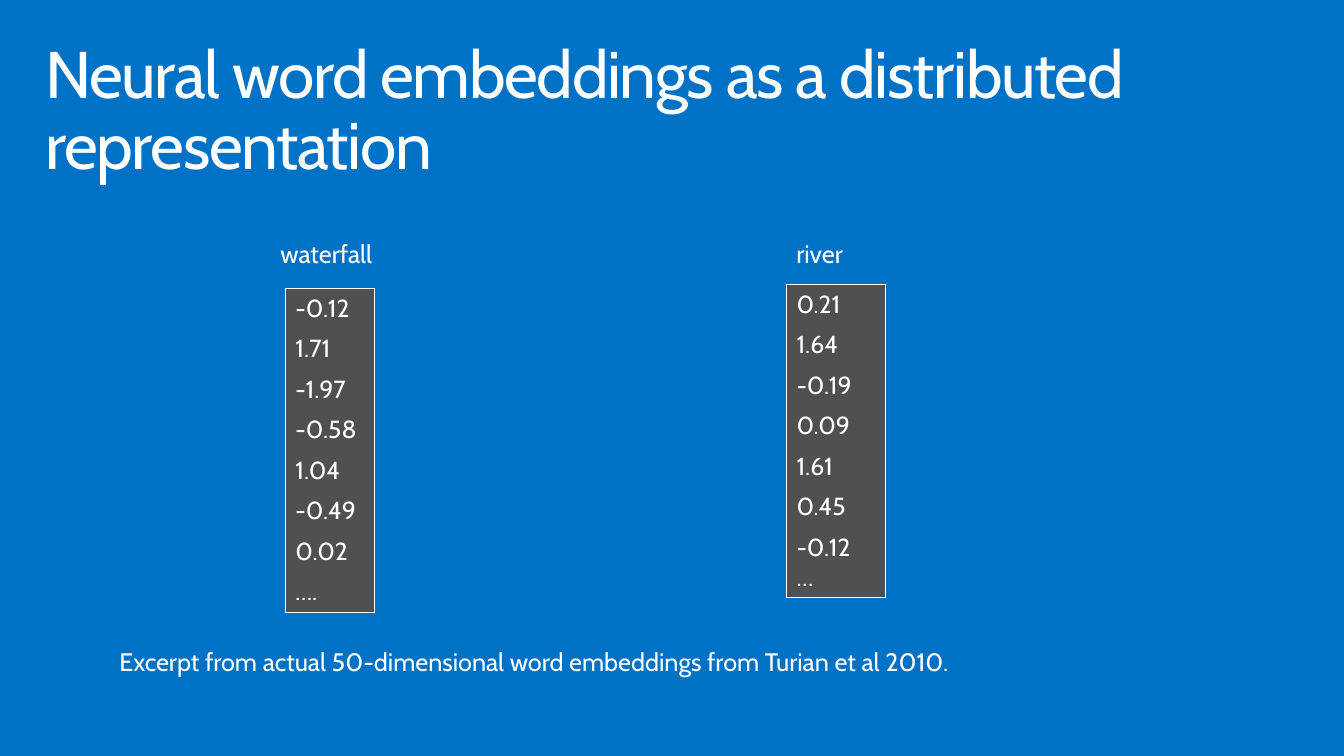
from dataclasses import dataclass

from lxml import etree
from pptx import Presentation
from pptx import util as u
from pptx.dml.color import RGBColor
from pptx.enum import text
from pptx.oxml import ns


@dataclass(frozen=True)
class Theme:
    font: str = "Cabin"
    background: str = "0072C6"
    cell: str = "505050"
    ink: str = "FFFFFF"
    title: float = 48
    label: float = 18.4
    value: float = 18


THEME = Theme()
WIDTH, HEIGHT = 13.6, 7.65
LABEL_H, ROW_H, LAST_LINE_H = 0.41, 0.41, 0.3
NO_STYLE = "{2D5ABB26-0587-4C30-8999-92F81FD0307C}"


def style_text(tf, size):
    for p in tf.paragraphs:
        for r in p.runs:
            r.font.name = THEME.font
            r.font.size = u.Pt(size)
            r.font.color.rgb = RGBColor.from_string(THEME.ink)


def add_label(slide, box, words):
    tf = slide.shapes.add_textbox(*map(u.Inches, box)).text_frame
    tf.word_wrap = False
    tf.auto_size = text.MSO_AUTO_SIZE.SHAPE_TO_FIT_TEXT
    tf.text = words
    style_text(tf, THEME.label)


def add_title(slide, box, words):
    tf = slide.shapes.add_textbox(*map(u.Inches, box)).text_frame
    tf.word_wrap = True
    tf.margin_left = tf.margin_right = u.Inches(0.16)
    tf.margin_top = tf.margin_bottom = u.Inches(0.1)
    tf.text = words
    p = tf.paragraphs[0]
    p.line_spacing = 0.9
    style_text(tf, THEME.title)
    p.runs[0].font._element.set("spc", "-100")


def set_borders(cell, sides):
    """Draw the named sides; they must precede the fill in the cell's XML."""
    tc_pr = cell._tc.get_or_add_tcPr()
    for i, side in enumerate(sides):
        ln = etree.Element(ns.qn(f"a:ln{side}"), w=str(u.Pt(1)))
        fill = etree.SubElement(ln, ns.qn("a:solidFill"))
        etree.SubElement(fill, ns.qn("a:srgbClr"), val=THEME.ink)
        tc_pr.insert(i, ln)


def add_vector(slide, box, values):
    """Stack the values in one outlined column; a value may hold two lines."""
    left, top, width = box
    heights = [ROW_H + LAST_LINE_H * v.count("\n") for v in values]
    frame = slide.shapes.add_table(
        len(values), 1, *map(u.Inches, (left, top, width, sum(heights))))
    table = frame.table
    table.first_row = table.horz_banding = False
    table._tbl.tblPr.find(ns.qn("a:tableStyleId")).text = NO_STYLE
    last = len(values) - 1
    for i, (value, height) in enumerate(zip(values, heights)):
        table.rows[i].height = u.Inches(height)
        cell = table.cell(i, 0)
        cell.text_frame.text = value
        style_text(cell.text_frame, THEME.value)
        cell.fill.solid()
        cell.fill.fore_color.rgb = RGBColor.from_string(THEME.cell)
        set_borders(cell, ["L", "R"] + ["T"] * (i == 0) + ["B"] * (i == last))


def build_embeddings_slide(prs):
    slide = prs.slides.add_slide(prs.slide_layouts[6])
    fill = slide.background.fill
    fill.solid()
    fill.fore_color.rgb = RGBColor.from_string(THEME.background)

    add_title(slide, (0.3, 0.32, WIDTH - 0.6, 1),
              "Neural word embeddings as a distributed representation")
    embeddings = [
        ("waterfall", (2.74, 1.17), (2.89, 2.92, 0.9),
         ["-0.12", "1.71", "-1.97", "-0.58", "1.04", "-0.49", "0.02", "…."]),
        ("river", (7.96, 0.7), (7.96, 2.88, 1),
         ["0.21", "1.64", "-0.19", "0.09", "1.61", "0.45", "-0.12\n…"]),
    ]
    for word, (left, width), vector_box, values in embeddings:
        add_vector(slide, vector_box, values)
        add_label(slide, (left, 2.36, width, LABEL_H), word)
    add_label(slide, (1.11, 6.49, 9.13, LABEL_H),
              "Excerpt from actual 50-dimensional word embeddings "
              "from Turian et al 2010.")


def main():
    prs = Presentation()
    prs.slide_width, prs.slide_height = u.Inches(WIDTH), u.Inches(HEIGHT)
    build_embeddings_slide(prs)
    prs.save("out.pptx")


if __name__ == "__main__":
    main()
